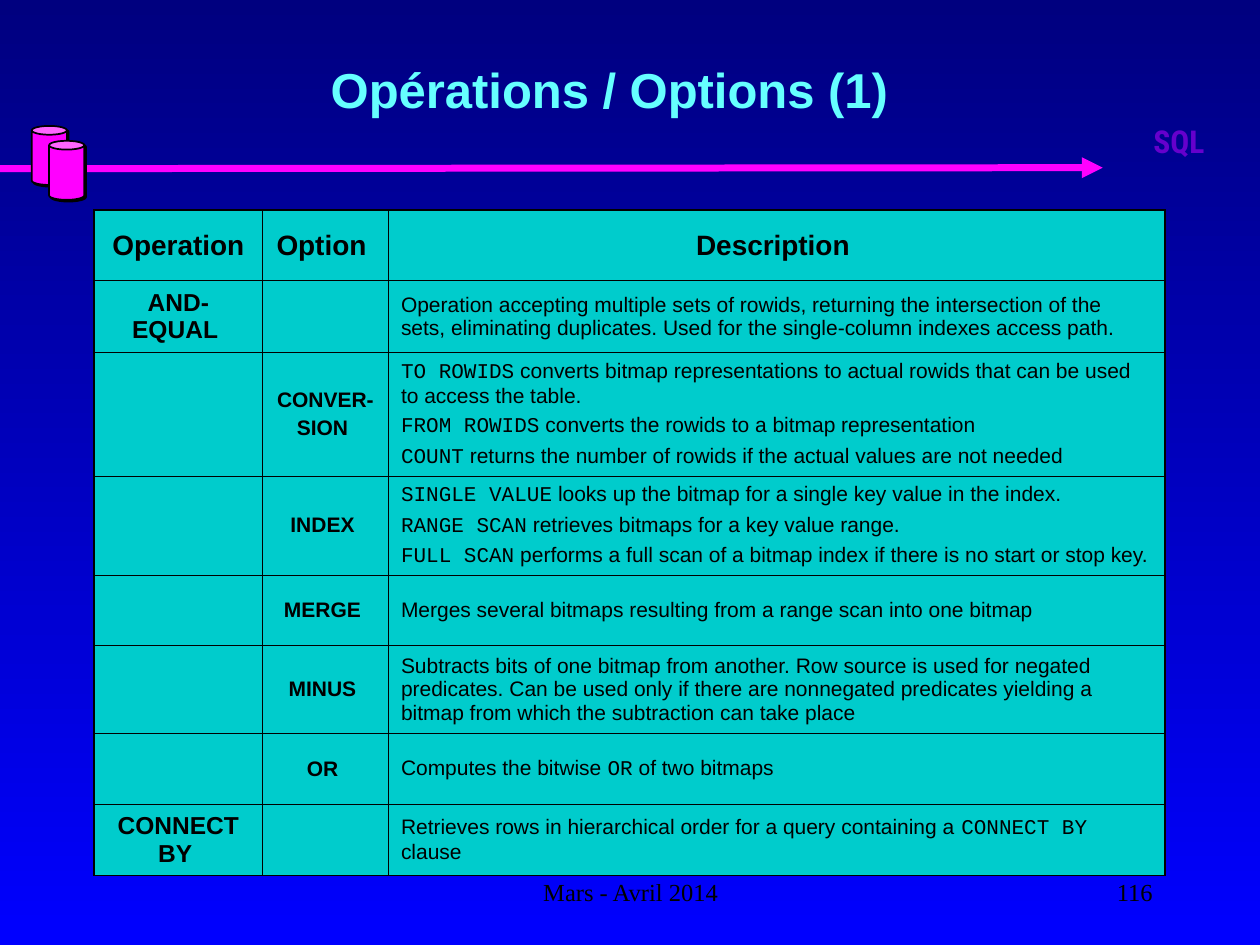
from lxml import etree
from pptx import Presentation
from pptx.dml.color import RGBColor
from pptx.enum.shapes import MSO_CONNECTOR, MSO_SHAPE
from pptx.enum.text import MSO_ANCHOR, PP_ALIGN
from pptx.oxml.ns import qn
from pptx.util import Cm, Pt

LEFT, MID, RIGHT = PP_ALIGN.LEFT, PP_ALIGN.CENTER, PP_ALIGN.RIGHT
TOP, CENTER = MSO_ANCHOR.TOP, MSO_ANCHOR.MIDDLE
CAN, LINE = MSO_SHAPE.CAN, MSO_CONNECTOR.STRAIGHT

HUES = {
    "navy": "00007F", "blue": "0000FF", "pink": "FF00FF", "black": "000000",
    "sky": "66FFFF", "teal": "00CCCC", "grape": "6600CC", "plum": "CC00CC",
    "mauve": "CC99FF",
}
SANS, CODE, SERIF, LOGO = "Arial", "Courier New", "Times New Roman", "Roboto Condensed"

COLS = [3.39, 2.54, 15.66]
ROWS = [1.42, 1.44, 2.49, 1.98, 1.42, 1.78, 1.42, 1.44]
HEAD = ["Operation", "Option ", "Description "]
BODY = [
    ("AND-EQUAL ", [], [
        "Operation accepting multiple sets of rowids, returning the intersection "
        "of the sets, eliminating duplicates. Used for the single-column indexes "
        "access path. "]),
    ("", ["CONVER-", "SION "], [
        "`TO ROWIDS` converts bitmap representations to actual rowids that can be "
        "used to access the table.",
        "`FROM ROWIDS` converts the rowids to a bitmap representation",
        "`COUNT` returns the number of rowids if the actual values are not needed  "]),
    ("", ["INDEX "], [
        "`SINGLE VALUE` looks up the bitmap for a single key value in the index.",
        "`RANGE SCAN` retrieves bitmaps for a key value range.",
        "`FULL SCAN` performs a full scan of a bitmap index if there is no start "
        "or stop key. "]),
    ("", ["MERGE "], [
        "Merges several bitmaps resulting from a range scan into one bitmap"]),
    ("", ["MINUS "], [
        "Subtracts bits of one bitmap from another. Row source is used for negated "
        "predicates. Can be used only if there are nonnegated predicates yielding "
        "a bitmap from which the subtraction can take place"]),
    ("", ["OR "], ["Computes the bitwise `OR` of two bitmaps"]),
    ("CONNECT BY ", [], [
        "Retrieves rows in hierarchical order for a query containing a "
        "`CONNECT BY` clause"]),
]


def rgb(hue):
    return RGBColor.from_string(HUES[hue])


def node(root, tag, **attrs):
    return etree.SubElement(root, qn(tag), attrs)


def solid(root, hue):
    node(node(root, "a:solidFill"), "a:srgbClr", val=HUES[hue])


def blend(fill, hues):
    fill.gradient()
    fill.gradient_angle = 270
    for stop, hue in zip(fill.gradient_stops, hues):
        stop.color.rgb = rgb(hue)


class Deck:
    def __init__(self, wide, high):
        self.show = Presentation()
        self.show.slide_width, self.show.slide_height = Cm(wide), Cm(high)
        self.slide = self.show.slides.add_slide(self.show.slide_layouts[6])

    def ground(self, *hues):
        blend(self.slide.background.fill, hues)

    def arrow(self, x1, y1, x2, y2, hue, width):
        line = self.slide.shapes.add_connector(LINE, Cm(x1), Cm(y1), Cm(x2), Cm(y2))
        line.line.color.rgb = rgb(hue)
        line.line.width = Pt(width)
        props = line._element.spPr
        node(props.find(qn("a:ln")), "a:tailEnd", type="triangle")
        node(props, "a:effectLst")

    def cans(self, spots, wide, high):
        group = self.slide.shapes.add_group_shape()
        for x, y in spots:
            can = group.shapes.add_shape(CAN, Cm(x), Cm(y), Cm(wide), Cm(high))
            can.adjustments[0] = 0.25
            can.fill.solid()
            can.fill.fore_color.rgb = rgb("pink")
            can.line.color.rgb = rgb("black")
            can.line.width = Pt(1)
            can.shadow.inherit = False
            glow = can._element.spPr.find(qn("a:effectLst"))
            shade = node(glow, "a:outerShdw", dist=str(Pt(1.4)), dir="2700000")
            node(shade, "a:srgbClr", val=HUES["black"])

    def words(self, frame, paras, size, face=SANS, hue="black", bold=False,
              align=LEFT, gap=0):
        for i, text in enumerate(paras):
            para = frame.add_paragraph() if i else frame.paragraphs[0]
            para.alignment = align
            if i:
                para.space_before = Pt(gap)
            for j, part in enumerate(text.split("`")):
                if part:
                    run = para.add_run()
                    run.text = part
                    run.font.size = Pt(size)
                    run.font.name = CODE if j % 2 else face
                    run.font.bold = bold
                    run.font.color.rgb = rgb(hue)

    def label(self, x, y, wide, high, text, size, anchor=CENTER, **style):
        box = self.slide.shapes.add_textbox(Cm(x), Cm(y), Cm(wide), Cm(high))
        box.text_frame.word_wrap = True
        box.text_frame.vertical_anchor = anchor
        self.words(box.text_frame, [text], size, **style)
        return box.text_frame.paragraphs[0].runs[0]

    def badge(self, x, y, wide, high, text, size):
        run = self.label(x, y, wide, high, text, size, anchor=TOP,
                         face=LOGO, bold=True, align=MID)
        blend(run.font.fill, ("grape", "plum"))
        edge = etree.Element(qn("a:ln"), w=str(Pt(0.75)))
        solid(edge, "mauve")
        run._r.get_or_add_rPr().insert(0, edge)

    def cell(self, cell, paras, outer, **style):
        cell.vertical_anchor = CENTER
        cell.fill.solid()
        cell.fill.fore_color.rgb = rgb("teal")
        for i, side in enumerate("LRTB"):
            width = 1.08 if side in outer else 0.45
            edge = etree.Element(qn("a:ln" + side), w=str(Pt(width)))
            solid(edge, "black")
            cell._tc.get_or_add_tcPr().insert(i, edge)
        self.words(cell.text_frame, paras, **style)

    def table(self, x, y, cols, rows, head, body):
        grid = self.slide.shapes.add_table(
            len(rows), len(cols), Cm(x), Cm(y), Cm(sum(cols)), Cm(sum(rows))).table
        for col, wide in zip(grid.columns, cols):
            col.width = Cm(wide)
        for row, high in zip(grid.rows, rows):
            row.height = Cm(high)
        lines = [[[text] for text in head]]
        lines += [[[name] if name else [], kind, notes] for name, kind, notes in body]
        for r, line in enumerate(lines):
            for c, paras in enumerate(line):
                ends = {"L": c == 0, "R": c == len(cols) - 1,
                        "T": r == 0, "B": r == len(rows) - 1}
                plain = r > 0 and c == 2
                self.cell(grid.cell(r, c), paras, [k for k in ends if ends[k]],
                          size=16 if r == 0 else 14 if c == 0 else 12,
                          bold=not plain, align=LEFT if plain else MID, gap=3)

    def save(self):
        self.show.save("out.pptx")


def main():
    deck = Deck(25.4, 19.05)
    deck.ground("navy", "blue")
    deck.arrow(-0.03, 3.4, 22.23, 3.38, "pink", 4)
    deck.cans([(0.64, 2.54), (0.99, 2.84)], 0.71, 1.19)
    deck.badge(22.28, 2.34, 2.97, 1.98, "SQL", 18)
    deck.label(8.69, 17.35, 8.05, 1.27, "Mars - Avril 2014", 14, face=SERIF, align=MID)
    deck.label(18.21, 17.35, 5.28, 1.27, "116", 14, face=SERIF, align=RIGHT)
    deck.label(1.07, 0.2, 22.43, 3.18, "Opérations / Options (1)", 28,
               hue="sky", bold=True, align=MID)
    deck.table(1.9, 4.24, COLS, ROWS, HEAD, BODY)
    deck.save()


if __name__ == "__main__":
    main()
